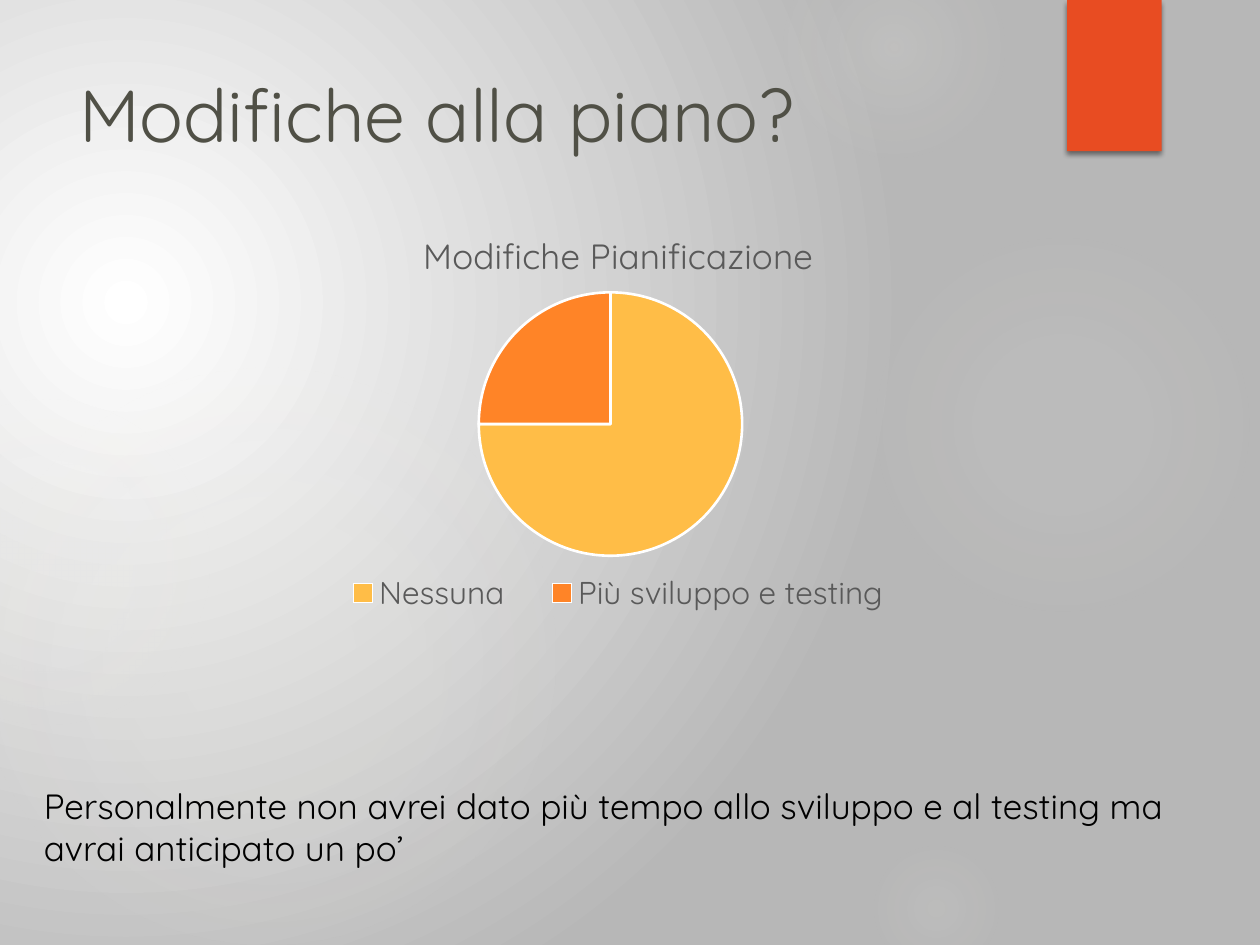
"""Build the slide on changes to the plan, with its pie chart."""
from dataclasses import dataclass
from typing import NamedTuple

from lxml import etree
from pptx import Presentation
from pptx import util as u
from pptx.chart.data import CategoryChartData
from pptx.dml.color import RGBColor
from pptx.enum import chart as ch, shapes, text
from pptx.oxml import parse_xml
from pptx.oxml.ns import nsdecls, qn


@dataclass(frozen=True)
class Theme:
    font: str = "Quicksand"
    heading: str = "505046"
    body: str = "000000"
    muted: str = "595959"
    white: str = "FFFFFF"
    backdrop: str = "B7B7B7"
    glow: str = "F5F4ED"
    ribbon: str = "E84C22"
    slices: tuple[str, ...] = ("FFBD47", "FF8427")
    heading_size: int = 42
    body_size: int = 20
    legend_size: int = 18


class Stop(NamedTuple):
    position: int
    color: str
    alpha: int = 100


class Glow(NamedTuple):
    left: float
    top: float
    diameter: float
    center_alpha: int
    middle_alpha: int
    edge: int


class Box(NamedTuple):
    left: float
    top: float
    width: float
    height: float

    def lengths(self) -> list[u.Length]:
        return [u.Inches(value) for value in self]


THEME = Theme()
GLOWS = (
    Glow(6.89, 1.83, 3.08, 7, 6, 69),
    Glow(6.22, -0.5, 1.75, 14, 7, 73),
    Glow(6.89, 6.67, 1.08, 9, 5, 66),
    Glow(-0.17, 2.92, 4.58, 11, 10, 75),
    Glow(-0.92, 3.17, 2.58, 8, 8, 72),
)
ANSWERS = {"Nessuna": 75, "Più sviluppo e testing": 25}


def style_font(font, size: int, color: str) -> None:
    font.name = THEME.font
    font.size = u.Pt(size)
    font.bold = False
    font.color.rgb = RGBColor.from_string(color)


def radial_fill(properties, stops: list[Stop], focus: tuple[int, ...]) -> None:
    """Replace the solid fill in properties with a circular gradient."""
    stop_xml = "".join(
        f'<a:gs pos="{stop.position * 1000}"><a:srgbClr val="{stop.color}">'
        f'<a:alpha val="{stop.alpha * 1000}"/></a:srgbClr></a:gs>'
        for stop in stops
    )
    sides = " ".join(f'{side}="{value * 1000}"' for side, value in zip("ltrb", focus))
    gradient = parse_xml(
        f'<a:gradFill {nsdecls("a")} rotWithShape="1"><a:gsLst>{stop_xml}</a:gsLst>'
        f'<a:path path="circle"><a:fillToRect {sides}/></a:path></a:gradFill>'
    )
    properties.replace(properties.find(qn("a:solidFill")), gradient)


def add_plain_shape(slide, kind, box: Box, color: str):
    shape = slide.shapes.add_shape(kind, *box.lengths())
    shape.shadow.inherit = False
    shape.fill.solid()
    shape.fill.fore_color.rgb = RGBColor.from_string(color)
    shape.line.fill.background()
    return shape


def add_glow(slide, glow: Glow) -> None:
    box = Box(glow.left, glow.top, glow.diameter, glow.diameter)
    ellipse = add_plain_shape(slide, shapes.MSO_SHAPE.OVAL, box, THEME.glow)
    stops = [
        Stop(0, THEME.glow, glow.center_alpha),
        Stop(36, THEME.glow, glow.middle_alpha),
        Stop(glow.edge, THEME.glow, 0),
    ]
    radial_fill(ellipse.element.spPr, stops, (50, 50, 50, 50))


def add_ribbon(slide) -> None:
    ribbon = add_plain_shape(
        slide, shapes.MSO_SHAPE.RECTANGLE, Box(8.47, 0, 0.75, 1.2), THEME.ribbon
    )
    effects = ribbon.element.spPr.find(qn("a:effectLst"))
    effects.append(parse_xml(
        f'<a:outerShdw {nsdecls("a")} blurRad="{u.Pt(3)}" dist="{u.Pt(2)}" '
        'dir="5400000" rotWithShape="0"><a:srgbClr val="000000">'
        '<a:alpha val="45000"/></a:srgbClr></a:outerShdw>'
    ))


def add_text(slide, wording: str, box: Box, size: int, color: str) -> None:
    frame = slide.shapes.add_textbox(*box.lengths()).text_frame
    frame.word_wrap = True
    frame.vertical_anchor = text.MSO_ANCHOR.TOP
    frame.text = wording
    style_font(frame.paragraphs[0].runs[0].font, size, color)


def place(part, index: int, fractions: dict[str, float], target: str = "") -> None:
    """Give a chart part a manual layout in fractions of the chart."""
    for former in part.findall(qn("c:layout")):
        part.remove(former)
    layout = etree.Element(qn("c:layout"))
    manual = etree.SubElement(layout, qn("c:manualLayout"))
    if target:
        etree.SubElement(manual, qn("c:layoutTarget"), val=target)
    for axis in "xy":
        etree.SubElement(manual, qn(f"c:{axis}Mode"), val="edge")
    for name, value in fractions.items():
        etree.SubElement(manual, qn(f"c:{name}"), val=str(value))
    part.insert(index, layout)


def add_changes_pie(slide) -> None:
    answers = CategoryChartData()
    answers.categories = list(ANSWERS)
    answers.add_series("Series 1", list(ANSWERS.values()))
    chart = slide.shapes.add_chart(
        ch.XL_CHART_TYPE.PIE, *Box(1.77, 1.6, 6.15, 3.43).lengths(), answers
    ).chart
    style_font(chart.font, 10, THEME.body)

    heading = chart.chart_title.text_frame
    heading.text = "Modifiche Pianificazione"
    style_font(heading.paragraphs[0].runs[0].font, THEME.body_size, THEME.muted)

    chart.has_legend = True
    chart.legend.position = ch.XL_LEGEND_POSITION.BOTTOM
    chart.legend.include_in_layout = False
    style_font(chart.legend.font, THEME.legend_size, THEME.muted)

    pie = chart.plots[0]
    pie.vary_by_categories = True
    for index, color in enumerate(THEME.slices):
        piece = pie.series[0].points[index].format
        piece.fill.solid()
        piece.fill.fore_color.rgb = RGBColor.from_string(color)
        piece.line.color.rgb = RGBColor.from_string(THEME.white)
        piece.line.width = u.Pt(1.5)

    root = chart.element.find(qn("c:chart"))
    place(root.find(qn("c:title")), 1, {"x": 0.25, "y": 0.05})
    place(root.find(qn("c:plotArea")), 0,
          {"x": 0.33, "y": 0.21, "w": 0.34, "h": 0.61}, "inner")
    place(root.find(qn("c:legend")), 1, {"x": 0.12, "y": 0.84, "w": 0.78, "h": 0.13})


def main() -> None:
    deck = Presentation()
    deck.slide_width, deck.slide_height = u.Inches(10), u.Inches(7.5)
    slide = deck.slides.add_slide(deck.slide_layouts[6])

    slide.background.fill.solid()
    slide.background.fill.fore_color.rgb = RGBColor.from_string(THEME.backdrop)
    backdrop = next(slide.element.iter(qn("p:bgPr")))
    radial_fill(backdrop, [Stop(0, THEME.white), Stop(100, THEME.backdrop)],
                (45, 65, 125, 100))

    for glow in GLOWS:
        add_glow(slide, glow)
    add_ribbon(slide)
    add_text(slide, "Modifiche alla piano?", Box(0.53, 0.5, 8.76, 1.53),
             THEME.heading_size, THEME.heading)
    add_changes_pie(slide)
    add_text(slide, "Personalmente non avrei dato più tempo allo sviluppo e al testing "
             "ma avrai anticipato un po’", Box(0.25, 6.18, 9.32, 0.77),
             THEME.body_size, THEME.body)
    deck.save("out.pptx")


if __name__ == "__main__":
    main()
